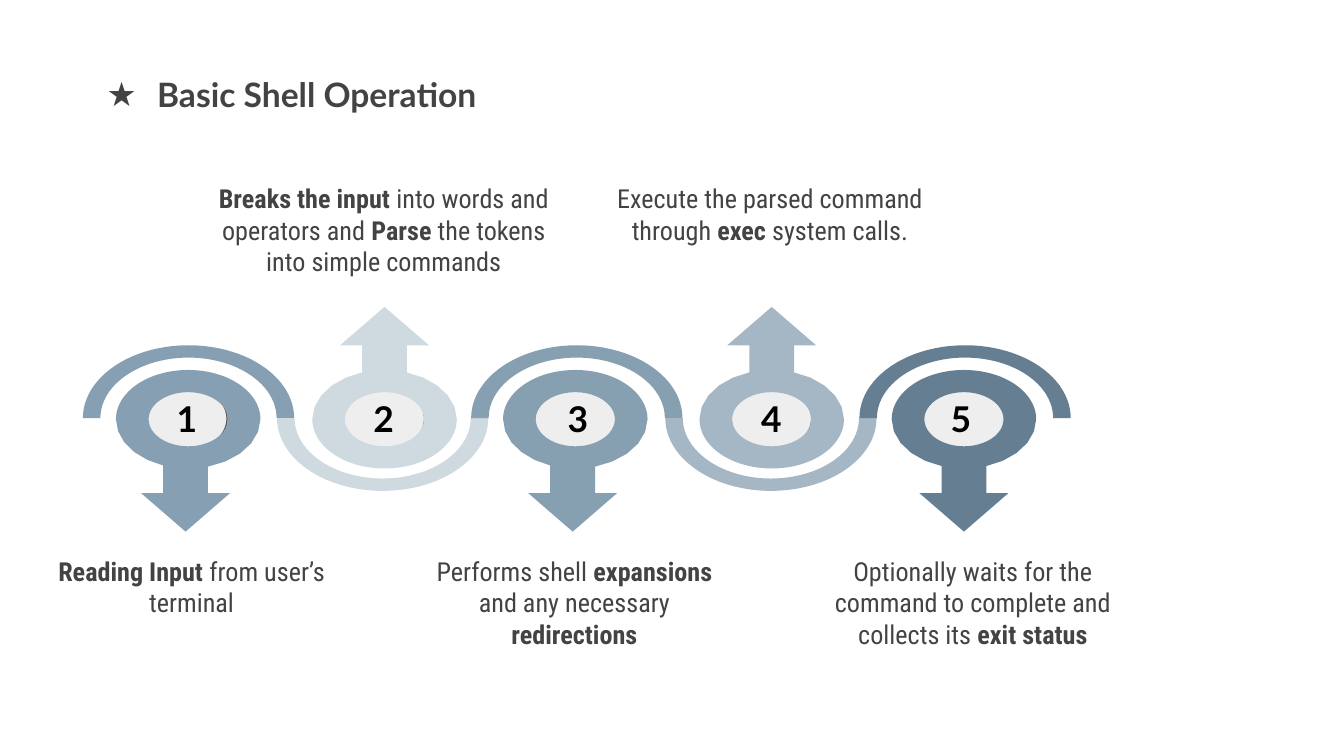
import math
from dataclasses import dataclass

import lxml.etree
import pptx
import pptx.dml.color
import pptx.enum.shapes
import pptx.enum.text
import pptx.oxml.ns
import pptx.util

Pt = pptx.util.Pt
Align = pptx.enum.text.PP_ALIGN
Anchor = pptx.enum.text.MSO_ANCHOR
Fit = pptx.enum.text.MSO_AUTO_SIZE
name = pptx.oxml.ns.qn

INK = "434343"
MID = 224.0
PITCH = 104


@dataclass
class Node:
    x: float
    y: float
    wide: float = 0
    high: float = 0
    start: int = 0
    sweep: int = 0


@dataclass
class Step:
    fill: str
    pin: float
    tip: float
    oval: float
    width: float
    note: str
    left: float
    top: float
    wide: float
    high: float


STEPS = [
    Step("869FB2", 100.8, 99.4, 78.5, 43.2,
         "*Reading Input* from user’s terminal", 23.8, 290.2, 157.7, 48.2),
    Step("CFD9E0", 206, 206, 183.6, 43.9,
         "*Breaks the input* into words and operators and *Parse* the tokens "
         "into simple commands", 106.6, 90.7, 198, 65.5),
    Step("869FB1", 308.2, 306.8, 285.1, 49,
         "Performs shell *expansions* and any necessary *redirections*",
         226.1, 290.2, 163.4, 65.5),
    Step("A5B7C5", 413.4, 413.4, 391.7, 43.2,
         "Execute the parsed command through *exec* system calls.",
         321.1, 90.7, 182.9, 48.2),
    Step("667E92", 516.4, 516.4, 490.3, 49,
         "Optionally waits for the command to complete and collects its "
         "*exit status*", 429.8, 290.2, 182.9, 65.5),
]


def tint(code: str) -> pptx.dml.color.RGBColor:
    return pptx.dml.color.RGBColor.from_string(code)


def place(x: float, y: float, wide: float, high: float, turn: float) -> Node:
    angle = math.radians(turn)
    return Node(x + wide * math.cos(angle), y + high * math.sin(angle))


def bend(x: float, y: float, wide: float, high: float,
         start: int, sweep: int, count: int) -> list[Node]:
    nodes = [place(x, y, wide, high, start)]
    for i in range(count):
        turn = start + i * sweep
        end = place(x, y, wide, high, turn + sweep)
        nodes.append(Node(end.x, end.y, wide, high, turn % 360, sweep))
    return nodes


def inset(frame) -> None:
    frame.margin_left = frame.margin_right = Pt(7.2)
    frame.margin_top = frame.margin_bottom = Pt(7.2)


def style(run, font: str, size: float, code: str, bold: bool) -> None:
    run.font.name = font
    run.font.size = Pt(size)
    run.font.bold = bold
    run.font.color.rgb = tint(code)


def outline(shapes, loops: list[list[Node]], code: str) -> None:
    first = loops[0][0]
    pen = shapes.build_freeform(Pt(first.x), Pt(first.y), scale=1.0)
    for loop in loops:
        if loop is not loops[0]:
            pen.move_to(Pt(loop[0].x), Pt(loop[0].y))
        pen.add_line_segments([(Pt(n.x), Pt(n.y)) for n in loop[1:]], close=True)
    shape = pen.convert_to_shape()
    nodes = [n for loop in loops for n in loop[1:]]
    lines = list(shape._element.iter(name("a:lnTo")))
    for line, node in zip(lines, nodes):
        if node.sweep:
            arc = lxml.etree.Element(
                name("a:arcTo"), wR=str(Pt(node.wide)), hR=str(Pt(node.high)),
                stAng=str(node.start * 60000), swAng=str(node.sweep * 60000))
            line.getparent().replace(line, arc)
    shape.shadow.inherit = False
    shape.fill.solid()
    shape.fill.fore_color.rgb = tint(code)
    shape.line.fill.background()


def draw_arc(shapes, step: Step, spot: int, way: int) -> None:
    x = 101 + PITCH * spot
    outer = bend(x, MID, 56.6, 39, 180, way * 90, 2)
    inner = bend(x, MID, 47.2, 32.4, 0, way * -90, 2)
    outline(shapes, [outer + inner], step.fill)


def draw_pin(shapes, step: Step, way: int) -> None:
    x, y, wide, high, neck = step.pin, MID + 0.6, 38.7, 26.4, 12
    shift = step.tip - x
    right = math.degrees(math.acos((shift + neck) / wide))
    left = math.degrees(math.acos((shift - neck) / wide))
    count = 5
    down = [place(x, y, wide, high, way * right * (1 - i / count))
            for i in range(count)]
    back = [place(x, y, wide, high, way * (180 + (left - 180) * i / count))
            for i in range(1, count + 1)]
    body = down + bend(x, y, wide, high, 0, way * -90, 2) + back
    arrow = [Node(step.tip + dx, y + way * dy) for dx, dy in
             [(-neck, 39.6), (-23.8, 39.6), (0, 60.2), (23.8, 39.6), (neck, 39.6)]]
    hole = bend(x, y, 21.2, 14.5, 0, way * 90, 4)
    outline(shapes, [body + arrow, hole], step.fill)


def draw_oval(shapes, step: Step, label: str) -> None:
    oval = shapes.add_shape(pptx.enum.shapes.MSO_SHAPE.OVAL, Pt(step.oval),
                            Pt(207.4), Pt(step.width), Pt(33.8))
    oval.shadow.inherit = False
    oval.fill.solid()
    oval.fill.fore_color.rgb = tint("EEEEEE")
    oval.line.color.rgb = tint("595959")
    oval.line.width = Pt(0.75)
    frame = oval.text_frame
    inset(frame)
    frame.vertical_anchor = Anchor.MIDDLE
    frame.text = label
    line = frame.paragraphs[0]
    line.alignment = Align.CENTER
    style(line.runs[0], "Lato", 19, "000000", True)


def draw_note(shapes, step: Step) -> None:
    box = shapes.add_textbox(Pt(step.left), Pt(step.top), Pt(step.wide), Pt(step.high))
    frame = box.text_frame
    inset(frame)
    frame.word_wrap = True
    frame.auto_size = Fit.SHAPE_TO_FIT_TEXT
    line = frame.paragraphs[0]
    line.alignment = Align.CENTER
    for i, part in enumerate(step.note.split("*")):
        if part:
            run = line.add_run()
            run.text = part
            style(run, "Roboto Condensed", 14, INK, i % 2 == 1)


def draw_title(title) -> None:
    title.left, title.top = Pt(41), Pt(34.6)
    title.width, title.height = Pt(446.4), Pt(33.8)
    frame = title.text_frame
    inset(frame)
    frame.word_wrap = True
    frame.auto_size = Fit.NONE
    frame.vertical_anchor = Anchor.BOTTOM
    frame.text = "Basic Shell Operation"
    line = frame.paragraphs[0]
    line.alignment = Align.LEFT
    props = line._p.get_or_add_pPr()
    props.set("marL", str(Pt(36)))
    props.set("indent", str(Pt(-27)))
    hue = lxml.etree.SubElement(props, name("a:buClr"))
    lxml.etree.SubElement(hue, name("a:srgbClr"), val=INK)
    lxml.etree.SubElement(props, name("a:buFont"), typeface="Lato")
    lxml.etree.SubElement(props, name("a:buChar"), char="★")
    style(line.runs[0], "Lato", 18, INK, True)


def main() -> None:
    deck = pptx.Presentation()
    deck.slide_width, deck.slide_height = Pt(720), Pt(405)
    slide = deck.slides.add_slide(deck.slide_layouts[5])
    shapes = slide.shapes
    draw_title(shapes.title)
    for i, step in enumerate(STEPS):
        way = 1 if i % 2 == 0 else -1
        draw_oval(shapes, step, str(i + 1))
        draw_arc(shapes, step, i, way)
        draw_pin(shapes, step, way)
        draw_note(shapes, step)
    deck.save("out.pptx")


if __name__ == "__main__":
    main()
